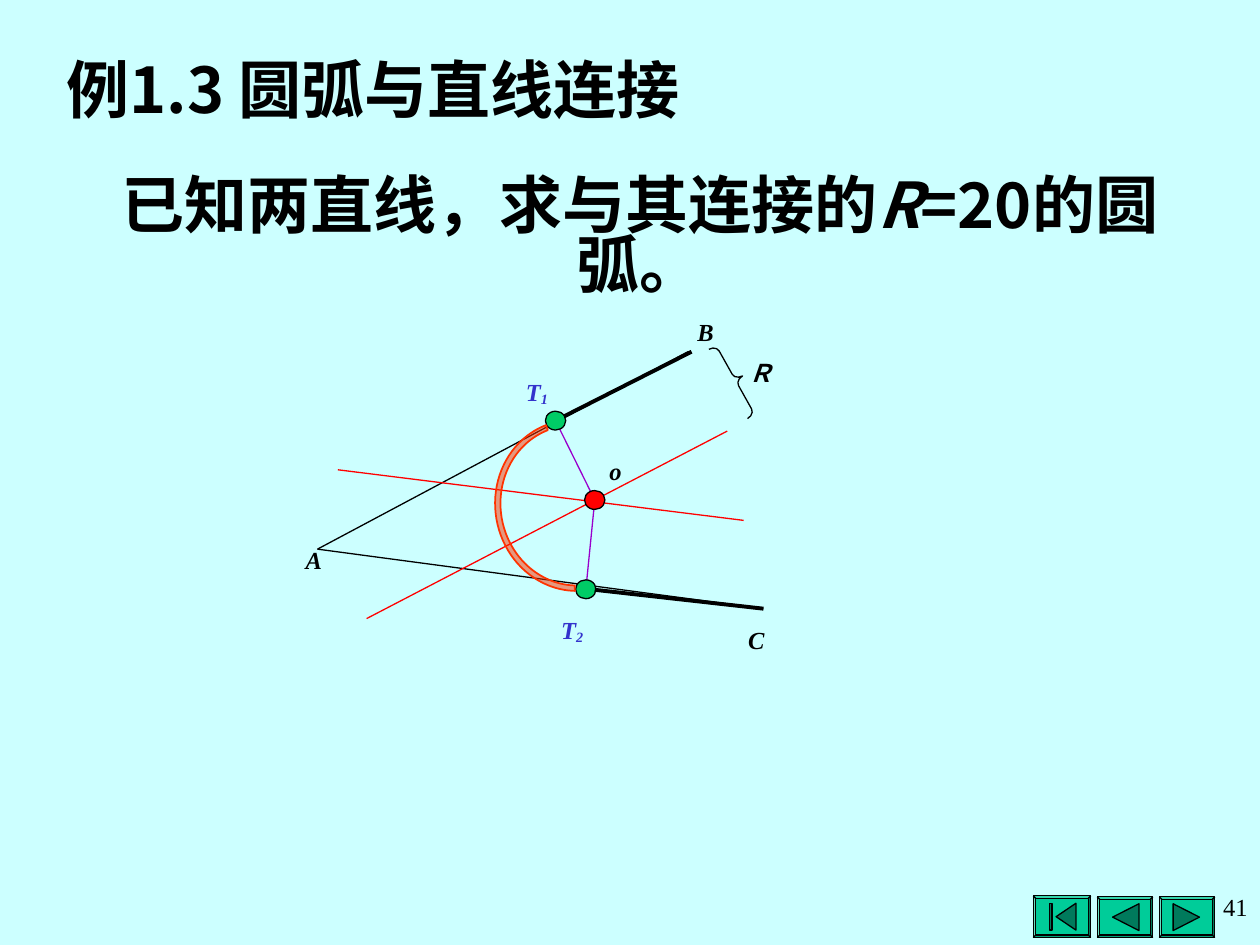
from lxml import etree
from pptx import Presentation
from pptx import util as u
from pptx.dml.color import RGBColor
from pptx.enum import shapes, text
from pptx.oxml import ns

BACKGROUND = RGBColor(0xCC, 0xFF, 0xFF)
BLACK = RGBColor(0, 0, 0)
RED = RGBColor(0xFF, 0, 0)
ORANGE = RGBColor(0xFF, 0x33, 0)
PURPLE = RGBColor(0x99, 0, 0xCC)
BLUE = RGBColor(0x33, 0x33, 0xCC)
GREEN = RGBColor(0, 0xCC, 0x66)
BUTTON_GREEN = RGBColor(0, 0xCC, 0x99)
ICON_GREEN = RGBColor(0, 0x7A, 0x5C)

CJK = "Noto Sans CJK SC"
SERIF = "Times New Roman"
SHAPE = shapes.MSO_SHAPE
ALIGN = text.PP_ALIGN

A, B, C = (6.4, 11.07), (13.87, 7.09), (15.39, 12.27)
T1, T2, O = (11.2, 8.48), (11.81, 11.88), (11.99, 10.08)


def add_run(paragraph, wording, size, font=SERIF, color=BLACK,
            bold=True, italic=False, baseline=None):
    run = paragraph.add_run()
    run.text = wording
    run.font.size = u.Pt(size)
    run.font.bold = bold
    run.font.italic = italic
    run.font.color.rgb = color
    run.font.name = font
    properties = run._r.get_or_add_rPr()
    etree.SubElement(properties, ns.qn("a:ea")).set("typeface", CJK)
    if baseline:
        properties.set("baseline", str(baseline))


def add_text(slide, left, top, width, height, align=ALIGN.CENTER):
    frame = slide.shapes.add_textbox(
        u.Cm(left), u.Cm(top), u.Cm(width), u.Cm(height)).text_frame
    frame.word_wrap = True
    frame.paragraphs[0].alignment = align
    return frame.paragraphs[0]


def add_label(slide, wording, left, top, width, color=BLACK, subscript=None):
    paragraph = add_text(slide, left, top, width, 0.84)
    add_run(paragraph, wording, 14, color=color, italic=True)
    if subscript:
        add_run(paragraph, subscript, 14, color=color, italic=True,
                baseline=-12000)


def add_line(slide, start, end, color=BLACK, weight=0.75):
    line = slide.shapes.add_connector(
        shapes.MSO_CONNECTOR.STRAIGHT, *map(u.Cm, start + end))
    line.line.color.rgb = color
    line.line.width = u.Pt(weight)
    etree.SubElement(line._element.spPr, ns.qn("a:effectLst"))


def add_figure(slide, preset, left, top, width, height, fill=None,
               outline=BLACK, weight=0.75, rotation=0, adjustments=()):
    figure = slide.shapes.add_shape(
        preset, u.Cm(left), u.Cm(top), u.Cm(width), u.Cm(height))
    figure.shadow.inherit = False
    if fill is None:
        figure.fill.background()
    else:
        figure.fill.solid()
        figure.fill.fore_color.rgb = fill
    figure.line.color.rgb = outline
    figure.line.width = u.Pt(weight)
    figure.rotation = rotation
    for index, value in enumerate(adjustments):
        figure.adjustments[index] = value
    return figure


def add_point(slide, center, fill):
    width, height = 0.41, 0.38
    add_figure(slide, SHAPE.OVAL, center[0] - width / 2,
               center[1] - height / 2, width, height, fill)


def add_icon(slide, corners):
    points = [(u.Cm(x), u.Cm(y)) for x, y in corners]
    builder = slide.shapes.build_freeform(*points[0])
    builder.add_line_segments(points[1:], close=True)
    icon = builder.convert_to_shape()
    icon.shadow.inherit = False
    icon.fill.solid()
    icon.fill.fore_color.rgb = ICON_GREEN
    icon.line.color.rgb = BLACK
    icon.line.width = u.Pt(0.75)


def add_button(slide, left, top, width, height, tip, base):
    add_figure(slide, SHAPE.BEVEL, left, top, width, height, BUTTON_GREEN,
               adjustments=[0.06])
    middle = top + height / 2
    add_icon(slide, [(tip, middle), (base, middle - 0.27),
                     (base, middle + 0.27)])


def add_navigation(slide):
    add_button(slide, 20.83, 18.06, 1.16, 0.84, 21.29, 21.69)
    add_figure(slide, SHAPE.RECTANGLE, 21.16, 18.21, 0.05, 0.54, ICON_GREEN)
    add_button(slide, 22.12, 18.08, 1.12, 0.82, 22.43, 22.96)
    add_button(slide, 23.37, 18.08, 1.12, 0.82, 24.18, 23.65)


def add_title(slide):
    title = slide.shapes.title
    title.left, title.top = u.Cm(1.09), u.Cm(0.89)
    title.width, title.height = u.Cm(21.59), u.Cm(1.78)
    title.text_frame.vertical_anchor = text.MSO_ANCHOR.MIDDLE
    paragraph = title.text_frame.paragraphs[0]
    paragraph.alignment = ALIGN.LEFT
    add_run(paragraph, "例1.3 圆弧与直线连接", 36, CJK)


def add_task(slide):
    task = add_text(slide, 1.7, 3.5, 22.4, 3.3)
    task.line_spacing = 0.8
    for wording, italic in (("已知两直线，求与其连接的", False), ("R", True),
                            ("=20的圆弧。", False)):
        add_run(task, wording, 36, CJK, italic=italic)


def add_construction(slide):
    add_line(slide, A, B)
    add_line(slide, A, C)
    add_line(slide, (7.39, 12.47), (14.66, 8.69), RED)
    add_line(slide, (6.81, 9.47), (14.99, 10.49), RED)
    add_line(slide, T1, (13.94, 7.09), weight=2.25)
    for tangent in (T2, T1):
        add_line(slide, O, tangent, PURPLE)
    add_point(slide, O, RED)
    for tangent in (T1, T2):
        add_point(slide, tangent, GREEN)
    add_figure(slide, SHAPE.RIGHT_BRACE, 14.66, 6.86, 0.33, 1.6,
               rotation=330.8, adjustments=[0.4])
    add_line(slide, (11.99, 11.89), C, weight=2.25)
    arc = add_figure(slide, SHAPE.BLOCK_ARC, 9.86, 8.59, 3.45, 3.2, ORANGE,
                     ORANGE, 1, 260.1, [113.837, 210.163, 0.034])
    arc_color = arc._element.spPr.find(ns.qn("a:solidFill"))[0]
    etree.SubElement(arc_color, ns.qn("a:alpha")).set("val", "50000")


def add_labels(slide):
    add_label(slide, "A", 5.59, 10.87, 1.47)
    add_label(slide, "B", 13.59, 6.27, 1.27)
    add_label(slide, "C", 14.61, 12.47, 1.27)
    add_label(slide, "T", 10.19, 7.47, 1.27, BLUE, "1")
    add_label(slide, "T", 11, 12.27, 1.07, BLUE, "2")
    add_label(slide, "o", 11.99, 9.07, 0.84)
    add_label(slide, "Ｒ", 14.83, 7.09, 0.84)


def main():
    deck = Presentation()
    deck.slide_width, deck.slide_height = u.Cm(25.4), u.Cm(19.05)
    slide = deck.slides.add_slide(deck.slide_layouts[5])
    slide.background.fill.solid()
    slide.background.fill.fore_color.rgb = BACKGROUND
    add_navigation(slide)
    add_title(slide)
    add_task(slide)
    add_construction(slide)
    add_labels(slide)
    page_number = add_text(slide, 19, 17.86, 6.4, 1.55, ALIGN.RIGHT)
    add_run(page_number, "41", 14, bold=False)
    deck.save("out.pptx")


if __name__ == "__main__":
    main()
